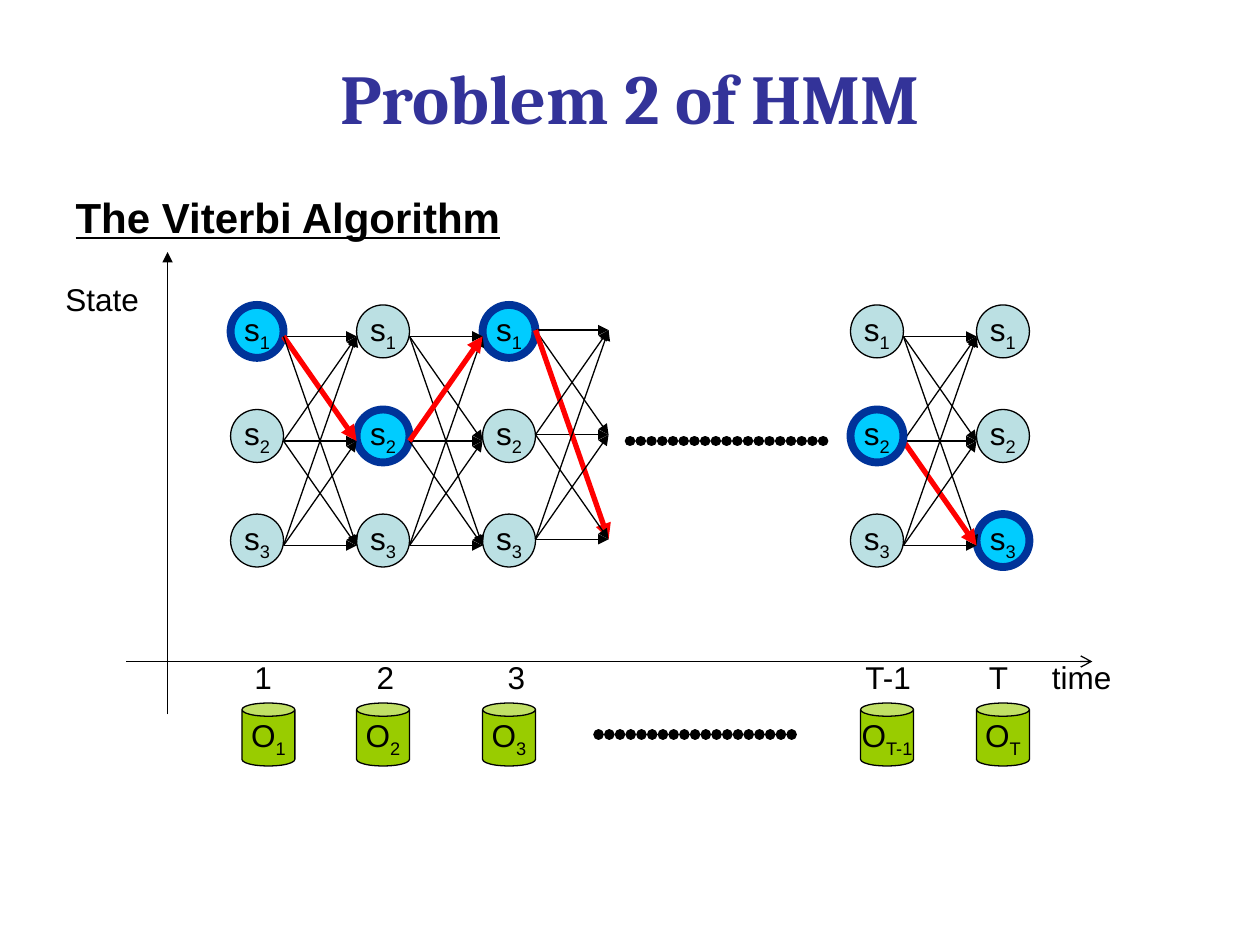
import dataclasses
import pptx
import pptx.dml.color
import pptx.enum.shapes
import pptx.enum.text
import pptx.oxml
import pptx.oxml.ns
import pptx.util
from pptx.util import Inches

SHAPES = pptx.enum.shapes.MSO_SHAPE
ALIGN = pptx.enum.text.PP_ALIGN
ANCHOR = pptx.enum.text.MSO_ANCHOR
FIT = pptx.enum.text.MSO_AUTO_SIZE


@dataclasses.dataclass(frozen=True)
class Theme:
    title_font: str = "Cambria"
    body_font: str = "Arial"
    title_size: int = 40
    heading_size: int = 24
    label_size: int = 18
    title: str = "333399"
    ink: str = "000000"
    state: str = "BBE0E3"
    best_state: str = "00CCFF"
    best_border: str = "003399"
    best_link: str = "FF0000"
    observation: str = "99CC00"
    thin: float = 0.75
    link: float = 3
    border: float = 4.5
    dots: float = 6


@dataclasses.dataclass(frozen=True)
class Box:
    left: float
    top: float
    width: float
    height: float

    def lengths(self):
        return [Inches(value) for value in dataclasses.astuple(self)]


THEME = Theme()
NODE = 0.42
ROW_PITCH = 0.83
GAP = 0.58
# Offsets of the columns 1, 2, 3, T-1, T and the state row on the best path
COLUMNS = (0, 1, 2, 4.92, 5.92)
BEST_ROWS = (0, 1, 0, 1, 2)
# Start column, drop below the node top, best (from row, to row)
STAGES = ((0, 0.25, (0, 1)), (1, 0.25, (1, 0)), (2, 0.2, (0, 2)), (3, 0.25, (1, 2)))
LINKS = ((0, 0), (1, 1), (2, 2), (0, 1), (0, 2), (1, 2), (2, 0), (2, 1), (1, 0))


def rgb(value):
    return pptx.dml.color.RGBColor.from_string(value)


def xml_element(tag, **attributes):
    element = pptx.oxml.parse_xml(f"<a:{tag} {pptx.oxml.ns.nsdecls('a')}/>")
    for name, value in attributes.items():
        element.set(name, value)
    return element


def format_runs(paragraph, size, color=THEME.ink, name=THEME.body_font, bold=False):
    for run in paragraph.runs:
        run.font.size = pptx.util.Pt(size)
        run.font.name = name
        run.font.bold = bold
        run.font.color.rgb = rgb(color)


def add_line(group, start, end, color=THEME.ink, width=THEME.thin, head=None, dotted=False):
    points = [Inches(value) for value in (*start, *end)]
    line = group.shapes.add_connector(pptx.enum.shapes.MSO_CONNECTOR.STRAIGHT, *points)
    line.line.color.rgb = rgb(color)
    line.line.width = pptx.util.Pt(width)
    outline = line.line._get_or_add_ln()
    if dotted:
        # Round dots that almost touch
        outline.set("cap", "rnd")
        dash = xml_element("custDash")
        dash.append(xml_element("ds", d="100000", sp="2000"))
        outline.append(dash)
    if head:
        outline.append(xml_element("tailEnd", type=head))
    line._element.spPr.append(xml_element("effectLst"))


def add_symbol(group, kind, box, letter, subscript, fill, border=THEME.ink, width=THEME.thin):
    shape = group.shapes.add_shape(kind, *box.lengths())
    shape.shadow.inherit = False
    shape.fill.solid()
    shape.fill.fore_color.rgb = rgb(fill)
    shape.line.color.rgb = rgb(border)
    shape.line.width = pptx.util.Pt(width)
    frame = shape.text_frame
    frame.word_wrap = False
    frame.vertical_anchor = ANCHOR.MIDDLE
    paragraph = frame.paragraphs[0]
    paragraph.alignment = ALIGN.CENTER
    paragraph.add_run().text = letter
    index = paragraph.add_run()
    index.text = subscript
    index._r.get_or_add_rPr().set("baseline", "-25000")
    format_runs(paragraph, THEME.label_size)


def add_label(group, box, text, stops=()):
    frame = group.shapes.add_textbox(*box.lengths()).text_frame
    frame.word_wrap = bool(stops)
    frame.auto_size = FIT.SHAPE_TO_FIT_TEXT
    frame.text = text
    paragraph = frame.paragraphs[0]
    if stops:
        tabs = xml_element("tabLst")
        for stop in stops:
            tabs.append(xml_element("tab", pos=str(Inches(stop)), algn="l"))
        paragraph._p.get_or_add_pPr().append(tabs)
    format_runs(paragraph, THEME.label_size)


def fill_placeholder(shape, box, text):
    shape.left, shape.top, shape.width, shape.height = box.lengths()
    frame = shape.text_frame
    frame.text = text
    frame.auto_size = FIT.NONE
    return frame


def place_title(slide, box):
    frame = fill_placeholder(slide.shapes.title, box, "Problem 2 of HMM")
    frame.vertical_anchor = ANCHOR.MIDDLE
    paragraph = frame.paragraphs[0]
    paragraph.alignment = ALIGN.CENTER
    format_runs(paragraph, THEME.title_size, THEME.title, THEME.title_font, True)


def place_heading(slide, box):
    frame = fill_placeholder(slide.placeholders[1], box, "The Viterbi Algorithm")
    paragraph = frame.paragraphs[0]
    properties = paragraph._p.get_or_add_pPr()
    properties.set("marL", str(Inches(0.38)))
    properties.set("indent", str(-Inches(0.38)))
    properties.append(xml_element("buNone"))
    paragraph.space_before = pptx.util.Pt(0)
    format_runs(paragraph, THEME.heading_size, bold=True)
    paragraph.runs[0].font.underline = True


def place_axes(group, box):
    right, bottom = box.left + box.width, box.top + box.height
    axis_x, axis_y = box.left + 0.33, bottom - 0.42
    add_line(group, (axis_x, bottom), (axis_x, box.top), head="triangle")
    add_line(group, (box.left, axis_y), (right, axis_y), head="arrow")
    add_label(group, Box(box.left - 0.58, box.top + 0.17, 0.82, 0.4), "State")
    add_label(group, Box(box.left + 0.92, axis_y - 0.08, 7.03, 0.4),
              "1\t2\t3\tT-1\tT\ttime", (0.97, 2.01, 4.85, 5.83, 6.33))


def place_states(group, box, column):
    for row in range(3):
        best = row == BEST_ROWS[column]
        node = Box(box.left + COLUMNS[column], box.top + row * ROW_PITCH, NODE, NODE)
        style = ((THEME.best_state, THEME.best_border, THEME.border) if best
                 else (THEME.state, THEME.ink, THEME.thin))
        add_symbol(group, SHAPES.OVAL, node, "s", str(row + 1), *style)


def place_trellis(group, box):
    for column in (0, 1, 2, 4):
        place_states(group, box, column)
    # Transitions between neighbouring columns
    for column, drop, best in STAGES:
        start = box.left + COLUMNS[column] + NODE
        for link in LINKS:
            from_y, to_y = (box.top + drop + row * ROW_PITCH for row in link)
            style = (THEME.best_link, THEME.link) if link == best else (THEME.ink, THEME.thin)
            add_line(group, (start, from_y), (start + GAP, to_y), *style, head="triangle")
    # Column T-1 covers the ends of its links
    place_states(group, box, 3)
    dots_y = box.top + 1.08
    add_line(group, (box.left + 3.17, dots_y), (box.left + 4.75, dots_y),
             width=THEME.dots, dotted=True)


def place_observations(group, box):
    shifts = (0.09, 0, 0, 0.08, 0)
    for offset, shift, name in zip(COLUMNS, shifts, ("1", "2", "3", "T-1", "T")):
        can = Box(box.left + offset + shift, box.top, NODE, box.height)
        add_symbol(group, SHAPES.CAN, can, "O", name, THEME.observation)
    dots_y = box.top + box.height / 2
    add_line(group, (box.left + 2.92, dots_y), (box.left + 4.5, dots_y),
             width=THEME.dots, dotted=True)


def main():
    presentation = pptx.Presentation()
    presentation.slide_width, presentation.slide_height = Inches(10), Inches(7.5)
    slide = presentation.slides.add_slide(presentation.slide_layouts[1])
    place_title(slide, Box(0.5, 0.3, 9, 0.93))
    place_heading(slide, Box(0.5, 1.47, 9, 5.23))
    diagram = slide.shapes.add_group_shape()
    place_axes(diagram, Box(1, 2, 7.67, 3.67))
    place_trellis(diagram, Box(1.83, 2.42, 6.34, 2.08))
    place_observations(diagram, Box(1.83, 5.58, 6.34, 0.5))
    presentation.save("out.pptx")


if __name__ == "__main__":
    main()
